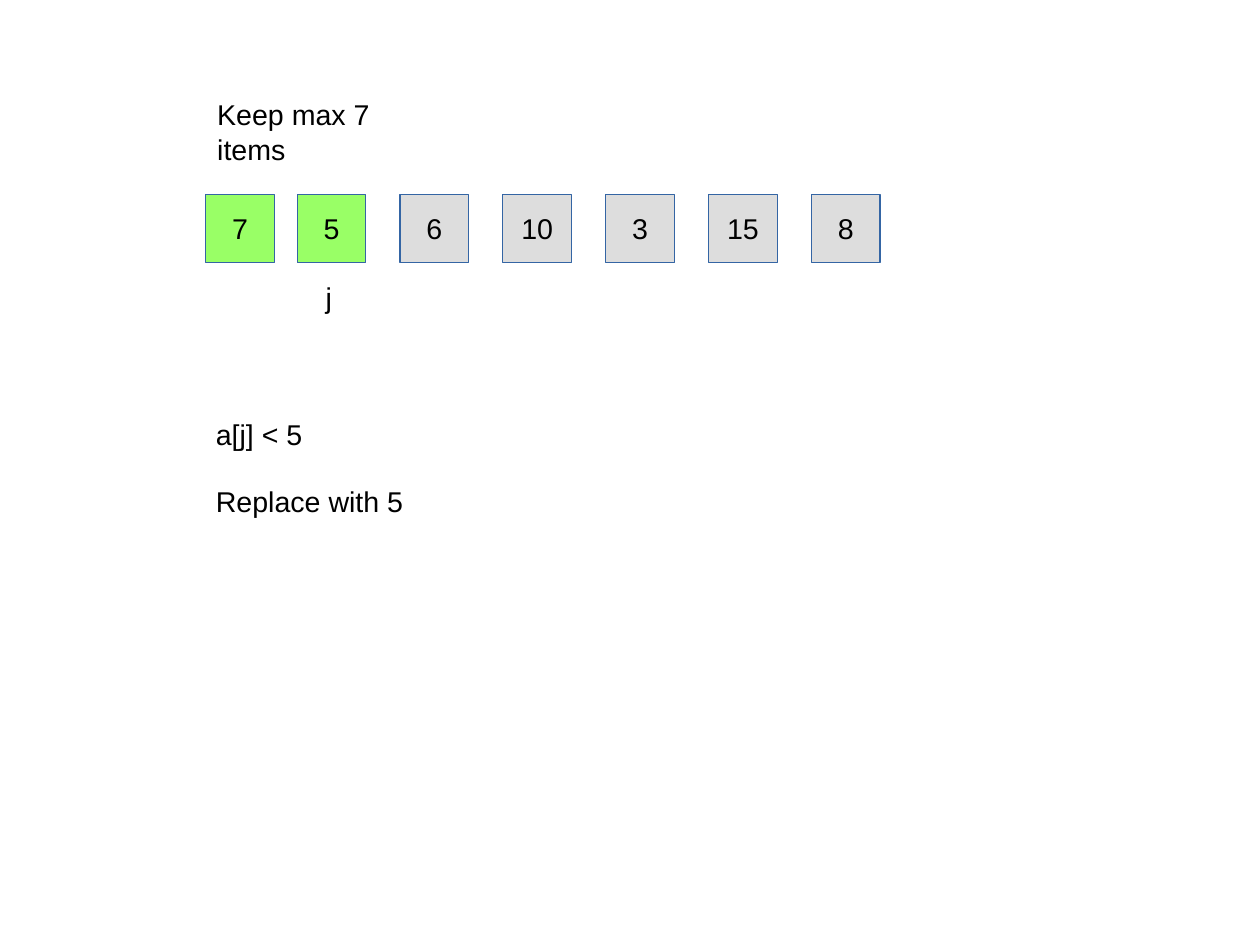
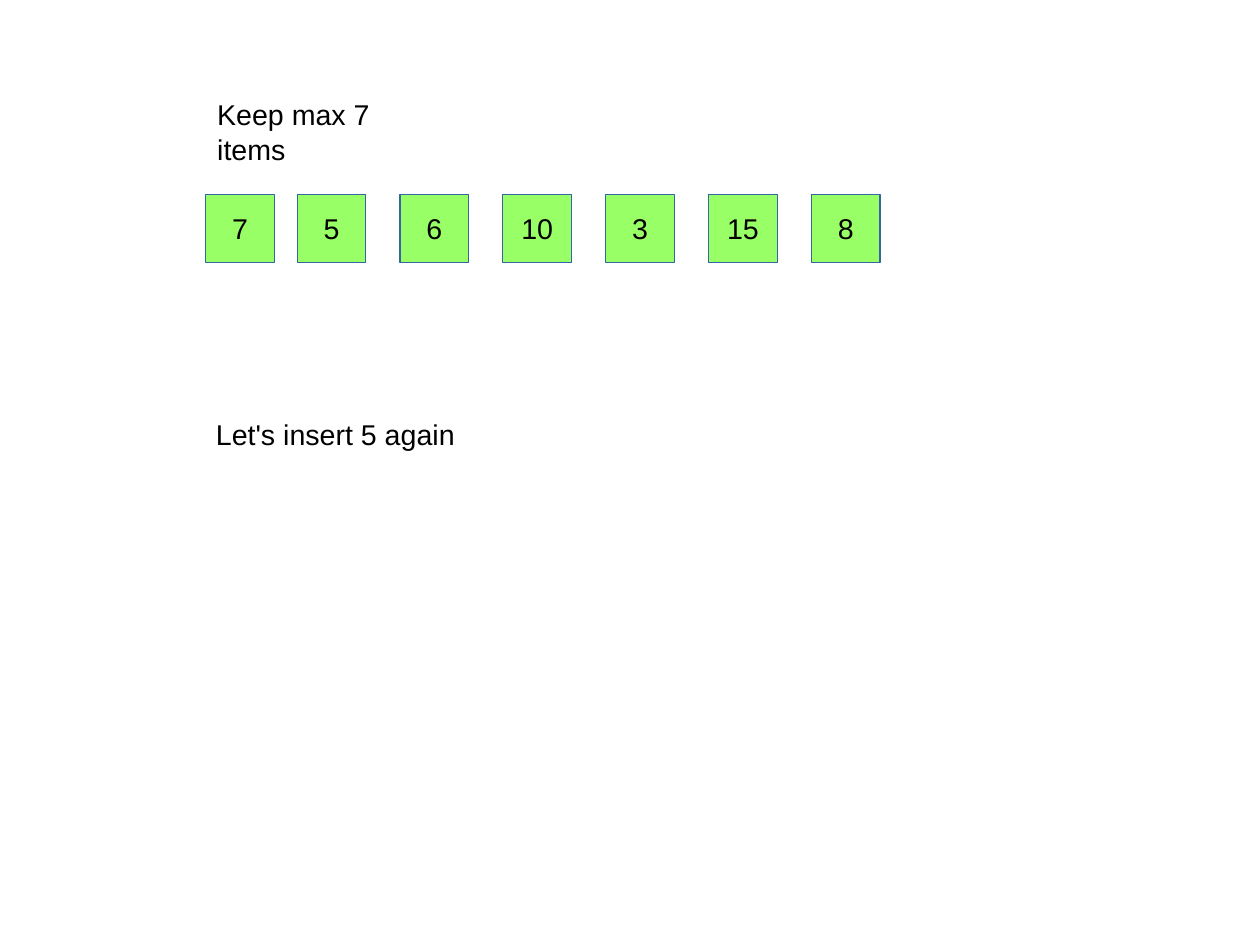
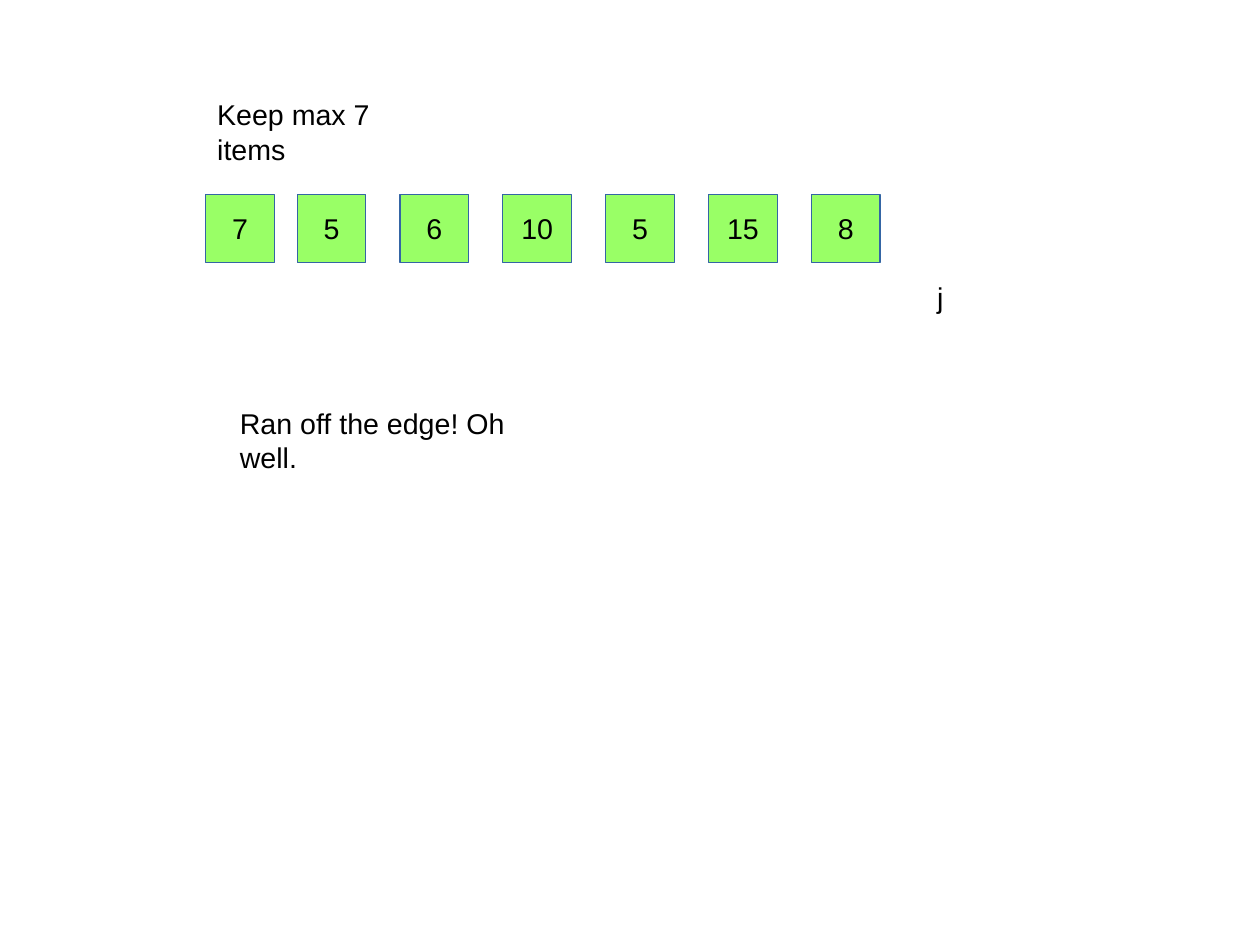
"""Build three slides that show an array keeping its largest seven items."""

from dataclasses import dataclass

import pptx
import pptx.dml.color
import pptx.enum.shapes
import pptx.enum.text
import pptx.presentation
import pptx.shapes.base
import pptx.slide
import pptx.text.text
import pptx.util

Pt = pptx.util.Pt
Color = pptx.dml.color.RGBColor


@dataclass(frozen=True)
class Theme:
    font: str = "Arial"
    size: float = 18
    text: Color = Color(0x00, 0x00, 0x00)
    visited: Color = Color(0x99, 0xFF, 0x66)
    pending: Color = Color(0xDD, 0xDD, 0xDD)
    outline: Color = Color(0x34, 0x65, 0xA4)
    paragraph_gap: float = 20.7


@dataclass(frozen=True)
class Label:
    left: float
    top: float
    width: float
    height: float
    lines: tuple[str, ...]


@dataclass(frozen=True)
class Step:
    values: tuple[int, ...]
    visited: int
    labels: tuple[Label, ...]


THEME = Theme()
SLIDE_WIDTH, SLIDE_HEIGHT = 793.7, 595.28
ROW_LEFT, ROW_TOP, CELL_SIZE = 129.6, 122.4, 43.2
SECOND_LEFT, CELL_PITCH = 187.2, 64.8
LINE_HEIGHT = 27.36
NOTE_LEFT, NOTE_TOP = 128.88, 259.2

TITLE = Label(ROW_LEFT, 57.6, 158.4, LINE_HEIGHT, ("Keep max 7 items",))


def index_label(left: float) -> Label:
    return Label(left, 172.8, 18, LINE_HEIGHT, ("j",))


STEPS = (
    Step(
        (7, 5, 6, 10, 3, 15, 8),
        2,
        (
            index_label(198),
            Label(NOTE_LEFT, NOTE_TOP, 132.48, 67.68, ("a[j] < 5", "Replace with 5")),
        ),
    ),
    Step(
        (7, 5, 6, 10, 3, 15, 8),
        7,
        (Label(NOTE_LEFT, NOTE_TOP, 164.88, LINE_HEIGHT, ("Let's insert 5 again",)),),
    ),
    Step(
        (7, 5, 6, 10, 5, 15, 8),
        7,
        (
            index_label(583.2),
            Label(144, 252, 221.76, LINE_HEIGHT, ("Ran off the edge! Oh well.",)),
        ),
    ),
)


def write_text(
    frame: pptx.text.text.TextFrame,
    lines: tuple[str, ...],
    alignment: pptx.enum.text.PP_ALIGN,
    anchor: pptx.enum.text.MSO_ANCHOR,
) -> None:
    frame.text = "\n".join(lines)
    frame.word_wrap = False
    frame.vertical_anchor = anchor
    for index, paragraph in enumerate(frame.paragraphs):
        paragraph.alignment = alignment
        if index:
            paragraph.space_before = Pt(THEME.paragraph_gap)
        for span in paragraph.runs:
            span.font.name = THEME.font
            span.font.size = Pt(THEME.size)
            span.font.color.rgb = THEME.text


def write_label(
    box: pptx.shapes.base.BaseShape, label: Label, fit: pptx.enum.text.MSO_AUTO_SIZE
) -> None:
    box.left, box.top = Pt(label.left), Pt(label.top)
    box.width, box.height = Pt(label.width), Pt(label.height)
    write_text(
        box.text_frame,
        label.lines,
        pptx.enum.text.PP_ALIGN.LEFT,
        pptx.enum.text.MSO_ANCHOR.TOP,
    )
    box.text_frame.auto_size = fit


def draw_label(page: pptx.slide.Slide, label: Label) -> None:
    box = page.shapes.add_textbox(0, 0, 0, 0)
    write_label(box, label, pptx.enum.text.MSO_AUTO_SIZE.SHAPE_TO_FIT_TEXT)


def draw_cell(page: pptx.slide.Slide, index: int, value: int, visited: bool) -> None:
    left = SECOND_LEFT + (index - 1) * CELL_PITCH if index else ROW_LEFT
    cell = page.shapes.add_shape(
        pptx.enum.shapes.MSO_SHAPE.RECTANGLE,
        Pt(left),
        Pt(ROW_TOP),
        Pt(CELL_SIZE),
        Pt(CELL_SIZE),
    )
    cell.shadow.inherit = False
    cell.fill.solid()
    cell.fill.fore_color.rgb = THEME.visited if visited else THEME.pending
    cell.line.color.rgb = THEME.outline
    cell.line.width = Pt(0)
    write_text(
        cell.text_frame,
        (str(value),),
        pptx.enum.text.PP_ALIGN.CENTER,
        pptx.enum.text.MSO_ANCHOR.MIDDLE,
    )


def draw_step(deck: pptx.presentation.Presentation, step: Step) -> None:
    page = deck.slides.add_slide(deck.slide_layouts.get_by_name("Title Only"))
    write_label(page.shapes.title, TITLE, pptx.enum.text.MSO_AUTO_SIZE.NONE)
    for index, value in enumerate(step.values):
        draw_cell(page, index, value, index < step.visited)
    for label in step.labels:
        draw_label(page, label)


def main() -> None:
    deck = pptx.Presentation()
    deck.slide_width, deck.slide_height = Pt(SLIDE_WIDTH), Pt(SLIDE_HEIGHT)
    for step in STEPS:
        draw_step(deck, step)
    deck.save("out.pptx")


if __name__ == "__main__":
    main()
